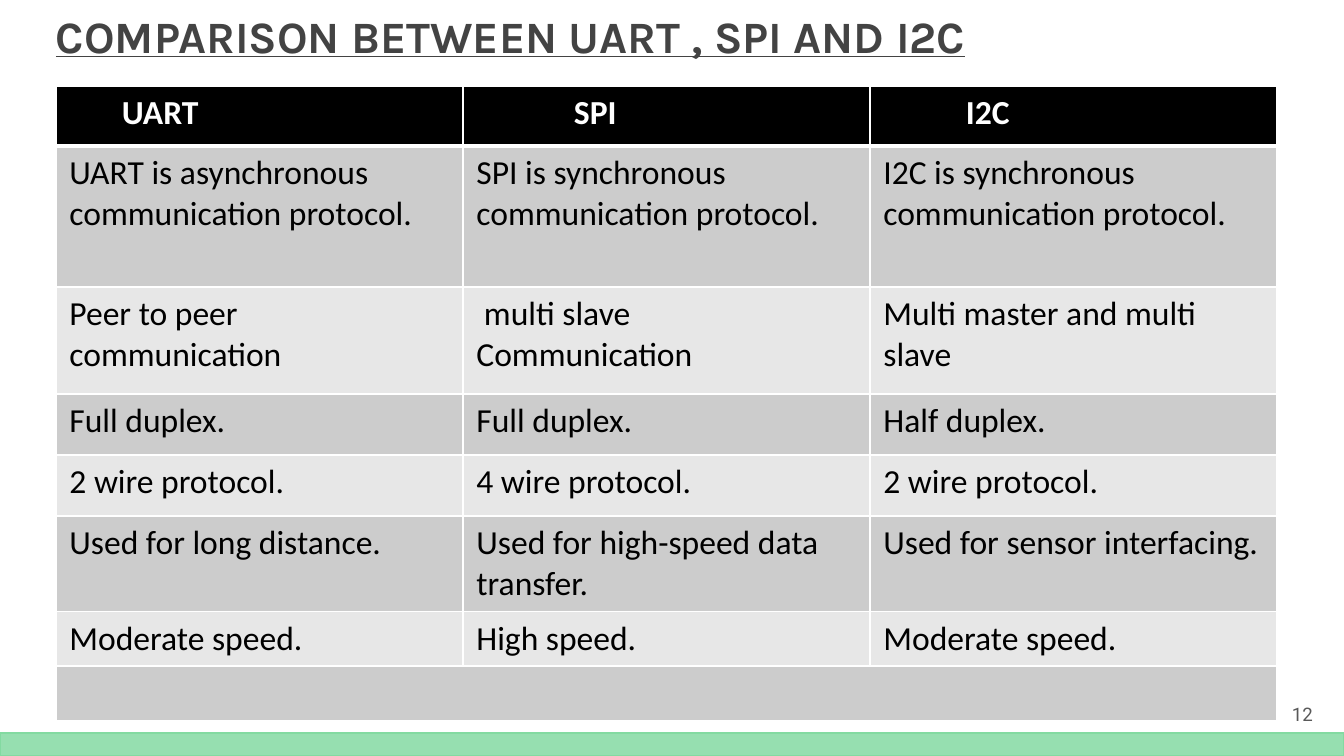
from lxml import etree
from pptx import Presentation
from pptx import util as u
from pptx.dml.color import RGBColor
from pptx.enum import shapes, text
from pptx.oxml import ns

PX = 6804  # EMU in one px
INK = {"title": "434343", "page": "595959", "bar": "83DAA1", "head": "000000",
       "dark": "CCCCCC", "light": "E7E7E7", "white": "FFFFFF", "body": "000000"}
HEAD = ["UART", "SPI", "I2C"]
DENTS = [66, 111, 96]
ROWS = [
    ["UART is asynchronous communication protocol.",
     "SPI is synchronous communication protocol.",
     "I2C is synchronous communication protocol."],
    ["Peer to peer communication", " multi slave\nCommunication",
     "Multi master and multi slave"],
    ["Full duplex.", "Full duplex.", "Half duplex."],
    ["2 wire protocol.", "4 wire protocol.", "2 wire protocol."],
    ["Used for long distance.", "Used for high-speed data transfer.",
     "Used for sensor interfacing."],
    ["Moderate speed.", "High speed.", "Moderate speed."],
    ["", "", ""],
]
HIGHS = [60, 141, 107, 61, 61, 95, 53, 54]
WIDE = 407


def px(*vals):
    return [u.Emu(val * PX) for val in vals]


def rgb(key):
    return RGBColor.from_string(INK[key])


def style(frame, ink, **form):
    for para in frame.paragraphs:
        para.alignment = text.PP_ALIGN.LEFT
        for key, val in form.items():
            setattr(para.font, key, val)
        para.font.color.rgb = rgb(ink)


def trim(frame):
    """Take away the insets of a text frame and pin its text to the top."""
    form = {"margin_left": 0, "margin_right": 0, "margin_top": 0,
            "margin_bottom": 0, "word_wrap": True,
            "vertical_anchor": text.MSO_ANCHOR.TOP,
            "auto_size": text.MSO_AUTO_SIZE.NONE}
    for key, val in form.items():
        setattr(frame, key, val)


def add_bar(slide):
    bar = slide.shapes.add_shape(shapes.MSO_SHAPE.RECTANGLE, *px(0, 733, 1344, 23))
    bar.shadow.inherit = False
    bar.fill.solid()
    bar.fill.fore_color.rgb = rgb("bar")
    tint = bar.fill._xPr.find(".//" + ns.qn("a:srgbClr"))
    etree.SubElement(tint, ns.qn("a:alpha"), val="84000")
    bar.line.color.rgb = rgb("bar")
    bar.line.width = u.Pt(0.75)


def add_title(slide):
    title = slide.shapes.title
    title.left, title.top, title.width, title.height = px(56, 8, 1148, 56)
    frame = title.text_frame
    frame.text = "COMPARISON BETWEEN UART , SPI AND I2C"
    trim(frame)
    frame.margin_top = px(1)[0]
    frame.paragraphs[0].space_before = u.Pt(1)
    style(frame, "title", name="Karla", size=u.Pt(24), bold=True, underline=True)


def add_page(slide):
    frame = slide.shapes.add_textbox(*px(1292, 703, 32, 24)).text_frame
    frame.text = "12"
    trim(frame)
    style(frame, "page", name="Roboto", size=u.Pt(10))


def edge(cell, top, base):
    """Draw white borders, 1 pt at the sides, top and base in points."""
    props = cell._tc.get_or_add_tcPr()
    for spot, (side, wide) in enumerate(zip("LRTB", (1, 1, top, base))):
        line = etree.Element(ns.qn("a:ln" + side), w=str(u.Pt(wide)))
        fill = etree.SubElement(line, ns.qn("a:solidFill"))
        etree.SubElement(fill, ns.qn("a:srgbClr"), val=INK["white"])
        props.insert(spot, line)


def fill_cell(cell, words, row):
    cell.text = words
    cell.fill.solid()
    shade = "head" if row == 0 else "dark" if row % 2 else "light"
    cell.fill.fore_color.rgb = rgb(shade)
    style(cell.text_frame, "body" if row else "white",
          name="Calibri", size=u.Pt(18), bold=row == 0)
    edge(cell, 3 if row == 1 else 1, 1 if row else 3)


def add_grid(slide):
    data = [HEAD] + ROWS
    box = px(56, 86, WIDE * len(HEAD), sum(HIGHS))
    grid = slide.shapes.add_table(len(data), len(HEAD), *box).table
    for col in grid.columns:
        col.width = px(WIDE)[0]
    for row, (line, high) in enumerate(zip(data, HIGHS)):
        grid.rows[row].height = px(high)[0]
        for col, words in enumerate(line):
            fill_cell(grid.cell(row, col), words, row)
    for col, dent in enumerate(DENTS):
        grid.cell(0, col).margin_left = px(dent)[0]
    last = len(data) - 1
    grid.cell(last, 0).merge(grid.cell(last, len(HEAD) - 1))


def main():
    deck = Presentation()
    deck.slide_width, deck.slide_height = px(1344, 756)
    slide = deck.slides.add_slide(deck.slide_layouts[5])
    add_bar(slide)
    add_title(slide)
    add_page(slide)
    add_grid(slide)
    deck.save("out.pptx")


if __name__ == "__main__":
    main()
